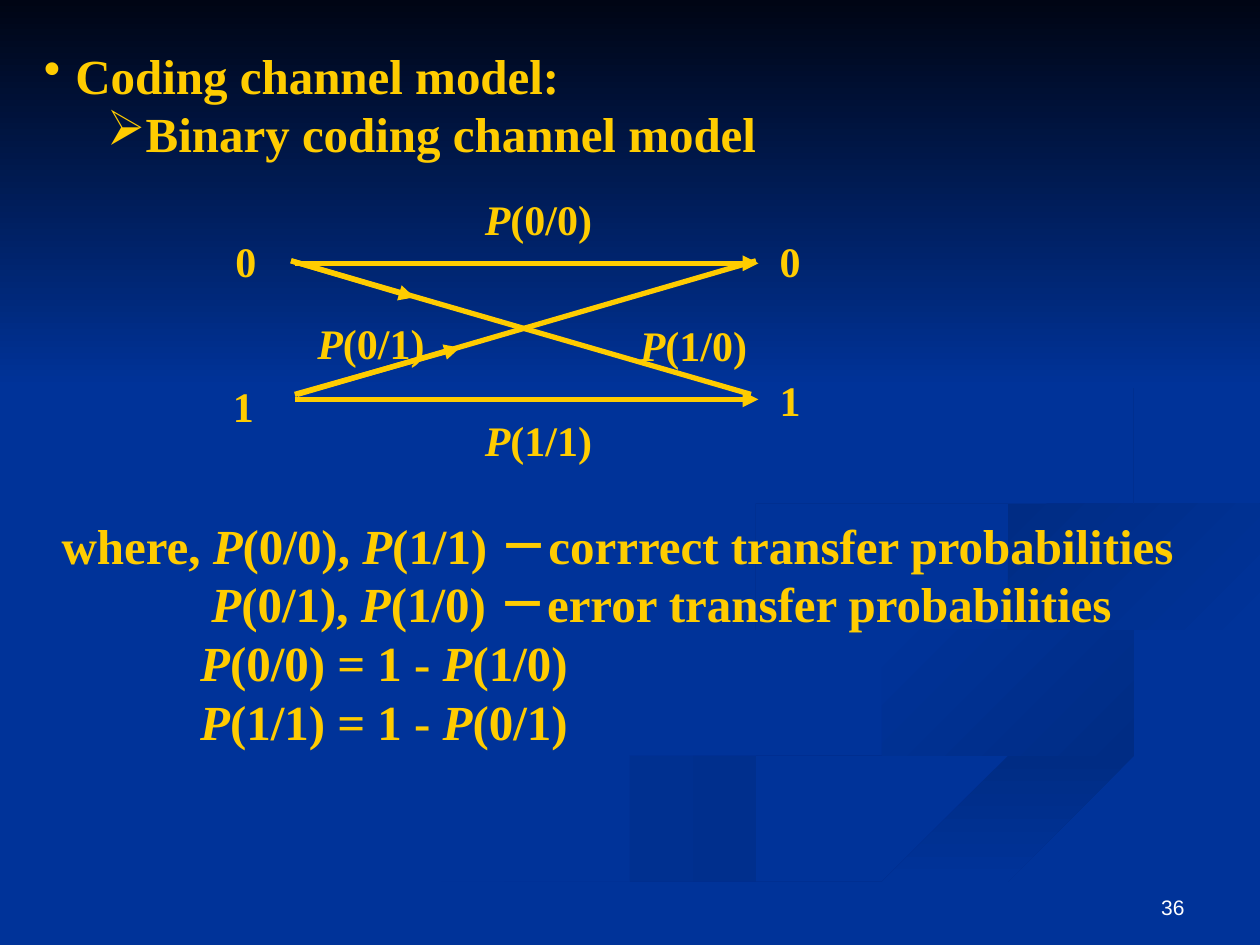
"""Build the binary coding channel slide."""
from dataclasses import dataclass

from lxml import etree
from pptx import Presentation
from pptx.dml.color import RGBColor
from pptx.enum.shapes import MSO_CONNECTOR, MSO_SHAPE
from pptx.enum.text import MSO_ANCHOR, PP_ALIGN
from pptx.oxml.ns import qn
from pptx.util import Inches, Pt

STRAIGHT, RECTANGLE = MSO_CONNECTOR.STRAIGHT, MSO_SHAPE.RECTANGLE
BOTTOM, TOP = MSO_ANCHOR.BOTTOM, MSO_ANCHOR.TOP
LEFT, RIGHT = PP_ALIGN.LEFT, PP_ALIGN.RIGHT


@dataclass(frozen=True)
class Theme:
    blue: str = "003399"
    shade: str = "002C84"
    night: str = "000514"
    gold: str = "FFCC00"
    white: str = "FFFFFF"
    serif: str = "Times New Roman"
    sans: str = "Arial"
    body: int = 28
    label: int = 24
    number: int = 12
    line: int = 3
    leading: float = 1.2


THEME = Theme()
WIDTH, HEIGHT = 10, 7.5
SKY_HEIGHT = 3.08
CURVE_STEPS = 6

FADE_IN, FADE_OUT = (THEME.blue, THEME.shade), (THEME.shade, THEME.blue)
RIBBONS = [
    (FADE_IN, 0,
     [(5.74, 4.6), (6.14, 4.96), (7.15, 5.28), (7.81, 5.53), (8, 5.81), (7.56, 6.14), (5.64, 6.65), (3.61, 7.49)],
     [(5.74, 4.6), (5.93, 4.91), (7.14, 5.3), (7.86, 5.66), (7.27, 6.02), (4.99, 6.61), (3, 7.49)]),
    (FADE_IN, 45,
     [(7.24, 4.64), (7.58, 4.98), (8.7, 5.3), (9.43, 5.71), (8.94, 6.05)],
     [(7.24, 4.64), (7.66, 5.12), (8.68, 5.44), (9.18, 5.81), (8.94, 6.05)]),
    (FADE_OUT, 90,
     [(5.03, 7.49), (6.96, 6.69), (9.98, 5.81)],
     [(5.71, 7.49), (7.22, 6.82), (9.98, 6.09)]),
    (FADE_OUT, 45,
     [(8.26, 4.96), (7.81, 4.6), (8.35, 4.3), (9.98, 4.02)],
     [(8.26, 4.96), (8.05, 4.72), (8.59, 4.43), (9.98, 4.2)]),
    (FADE_OUT, 45,
     [(7.62, 2.33), (8.54, 2.83), (8.94, 3.44), (8.41, 3.96), (6.83, 4.3), (5.93, 4.7), (6.22, 5)],
     [(7.62, 2.33), (8.46, 2.79), (8.89, 3.35), (8.18, 3.86), (6.49, 4.2), (5.77, 4.62), (6.22, 5)]),
]

HEADING = [("•", 0.5, "Coding channel model:"), ("➢", 1, "Binary coding channel model")]
EXPLANATION = [
    ("", 0.39, "where, P(0/0), P(1/1) －corrrect transfer probabilities"),
    ("", 1.58, "P(0/1), P(1/0) －error transfer probabilities"),
    ("", 1.49, "P(0/0) = 1 - P(1/0)"),
    ("", 1.49, "P(1/1) = 1 - P(0/1)"),
]
BULLET_HANG = 0.25

LINES = [
    ((2.34, 3.13), (3.65, 2.76), True),
    ((2.31, 2.07), (3.29, 2.36), True),
    ((2.34, 2.09), (6.02, 2.09), True),
    ((2.31, 2.07), (5.96, 3.13), False),
    ((2.36, 3.13), (6, 2.07), False),
    ((2.34, 3.17), (6.02, 3.17), True),
]
LABEL_WIDTH, SYMBOL_WIDTH, LABEL_HEIGHT = 1.1, 0.46, 0.5
LABELS = [
    ("0", 1.77, 1.82), ("1", 1.75, 2.97), ("1", 6.09, 2.92), ("0", 6.09, 1.82),
    ("P(0/0)", 3.75, 1.49), ("P(0/1)", 2.42, 2.47), ("P(1/1)", 3.75, 3.24), ("P(1/0)", 4.98, 2.49),
]


def color(value):
    return RGBColor.from_string(value)


def spline(a, b, c, d, t):
    return b + t / 2 * (c - a + t * (2 * a - 5 * b + 4 * c - d + t * (3 * (b - c) + d - a)))


def smooth_edge(points):
    padded = [points[0], *points, points[-1]]
    curve = [
        tuple(spline(*axis, step / CURVE_STEPS) for axis in zip(*padded[index:index + 4]))
        for index in range(len(points) - 1)
        for step in range(CURVE_STEPS)
    ]
    return curve + [points[-1]]


def paint(shape, colors, angle):
    shape.shadow.inherit = False
    shape.line.fill.background()
    shape.fill.gradient()
    shape.fill.gradient_angle = -angle % 360
    for stop, value in zip(shape.fill.gradient_stops, colors):
        stop.color.rgb = color(value)


def add_ribbon(slide, colors, angle, outer, inner):
    outline = smooth_edge(outer) + smooth_edge(inner)[::-1]
    builder = slide.shapes.build_freeform(*outline[0], scale=Inches(1))
    builder.add_line_segments(outline[1:], close=True)
    paint(builder.convert_to_shape(), colors, angle)


def add_run(paragraph, text, size, value, font, bold=False, italic=False):
    run = paragraph.add_run()
    run.text = text
    run.font.size, run.font.name = Pt(size), font
    run.font.bold, run.font.italic = bold, italic
    run.font.color.rgb = color(value)


def add_box(slide, left, top, width, height, anchor=TOP):
    frame = slide.shapes.add_textbox(*map(Inches, (left, top, width, height))).text_frame
    frame.word_wrap = True
    frame.vertical_anchor = anchor
    return frame


def add_bullet(properties, bullet):
    bullet_color = etree.SubElement(properties, qn("a:buClr"))
    etree.SubElement(bullet_color, qn("a:srgbClr"), val=THEME.gold)
    etree.SubElement(properties, qn("a:buChar"), char=bullet)


def add_text(slide, box, lines, size):
    frame = add_box(slide, *box)
    for index, (bullet, indent, text) in enumerate(lines):
        paragraph = frame.paragraphs[0] if index == 0 else frame.add_paragraph()
        properties = paragraph._p.get_or_add_pPr()
        properties.set("marL", str(Inches(indent)))
        properties.set("indent", str(-Inches(BULLET_HANG) if bullet else 0))
        if bullet:
            add_bullet(properties, bullet)
        paragraph.alignment = LEFT
        paragraph.line_spacing = Pt(size * THEME.leading)
        for position, part in enumerate(text.split("P")):
            if position:
                add_run(paragraph, "P", size, THEME.gold, THEME.serif, True, True)
            if part:
                add_run(paragraph, part, size, THEME.gold, THEME.serif, True)


def add_line(slide, start, end, arrow):
    connector = slide.shapes.add_connector(STRAIGHT, *map(Inches, start + end))
    connector.line.color.rgb = color(THEME.gold)
    connector.line.width = Pt(THEME.line)
    if arrow:
        etree.SubElement(connector.line._get_or_add_ln(), qn("a:tailEnd"), type="triangle")
    etree.SubElement(connector._element.spPr, qn("a:effectLst"))


def main():
    presentation = Presentation()
    presentation.slide_width, presentation.slide_height = Inches(WIDTH), Inches(HEIGHT)
    slide = presentation.slides.add_slide(presentation.slide_layouts[6])
    slide.background.fill.solid()
    slide.background.fill.fore_color.rgb = color(THEME.blue)
    for ribbon in RIBBONS:
        add_ribbon(slide, *ribbon)
    sky = slide.shapes.add_shape(RECTANGLE, 0, 0, Inches(WIDTH), Inches(SKY_HEIGHT))
    paint(sky, (THEME.night, THEME.blue), 90)
    number = add_box(slide, 7.17, 6.83, 2.33, 0.52, BOTTOM).paragraphs[0]
    number.alignment = RIGHT
    add_run(number, "36", THEME.number, THEME.white, THEME.sans)
    add_text(slide, (0, 0.31, WIDTH, 1.05), HEADING, THEME.body)
    add_text(slide, (0, 4.04, WIDTH, 2), EXPLANATION, THEME.body)
    for line in LINES:
        add_line(slide, *line)
    for text, left, top in LABELS:
        width = SYMBOL_WIDTH if len(text) == 1 else LABEL_WIDTH
        add_text(slide, (left, top, width, LABEL_HEIGHT), [("", 0, text)], THEME.label)
    presentation.save("out.pptx")


if __name__ == "__main__":
    main()
